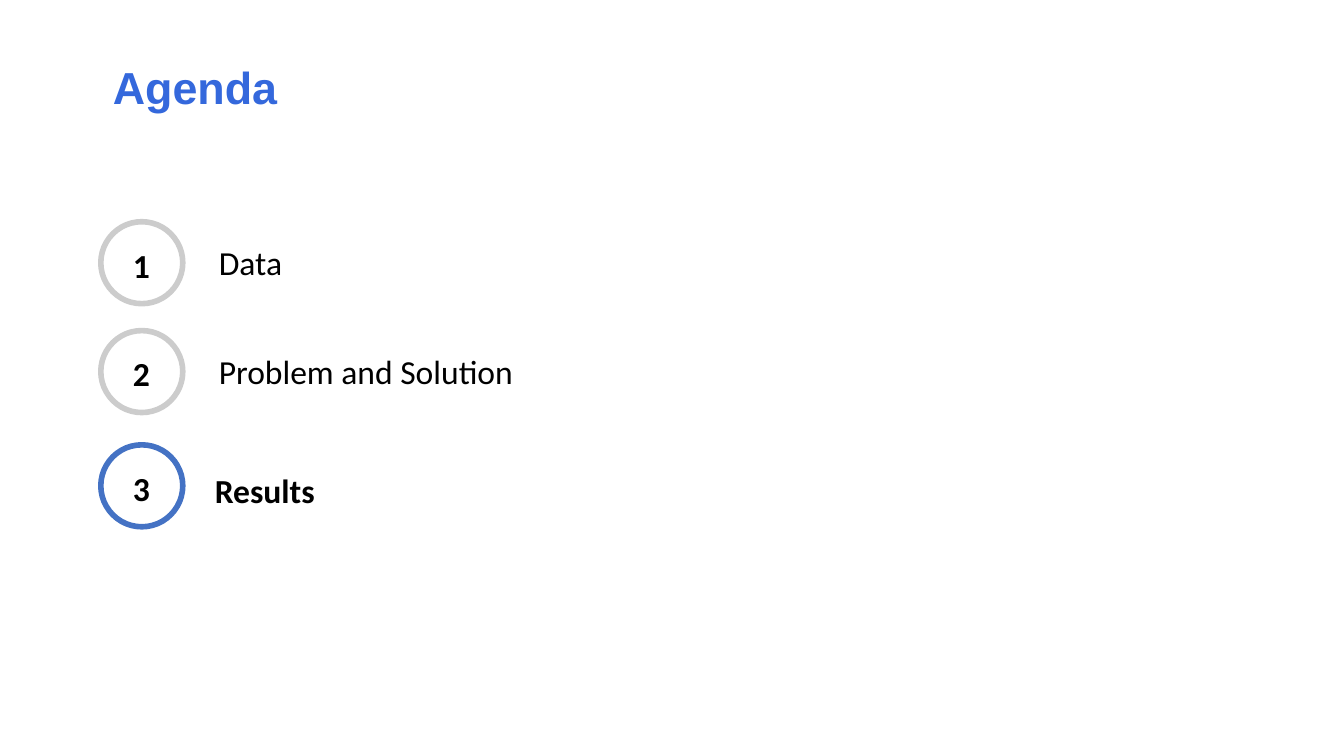
from pptx import Presentation
from pptx.dml.color import RGBColor
from pptx.enum.shapes import MSO_SHAPE as Shape
from pptx.enum.text import MSO_ANCHOR as Anchor, MSO_AUTO_SIZE as AutoSize
from pptx.enum.text import PP_ALIGN as Align
from pptx.util import Inches, Pt

# A 16:9 slide
prs = Presentation()
prs.slide_width = Inches(10)
prs.slide_height = prs.slide_width * 9 // 16
s = prs.slides.add_slide(prs.slide_layouts[5])


def color(value):
    return RGBColor.from_string(value)


def write(sp, text, size=18, font="Calibri", fill="000000", bold=False,
          inset=(0.1, 0.05, 0.1, 0.05), anchor=Anchor.TOP, spacing=1.0,
          fit=AutoSize.SHAPE_TO_FIT_TEXT):
    tf = sp.text_frame
    tf.word_wrap, tf.auto_size, tf.vertical_anchor = True, fit, anchor
    tf.margin_left, tf.margin_top, tf.margin_right, tf.margin_bottom = map(Inches, inset)
    p = tf.paragraphs[0]
    p.alignment, p.line_spacing = Align.LEFT, spacing
    r = p.add_run()
    r.text = text
    r.font.size, r.font.name, r.font.bold = Pt(size), font, bold
    r.font.color.rgb = color(fill)


# Title
title = s.shapes.title
title.left, title.top, title.width, title.height = map(Inches, (0.81, 0.46, 6.79, 0.42))
write(title, "Agenda", size=24, font="Arial", fill="3468DC", bold=True,
      inset=(0.03,) * 4, anchor=Anchor.MIDDLE, spacing=0.9, fit=AutoSize.NONE)

# Agenda columns, row height and items: text, row top, label left, top and width
circle_left, circle_size = 0.75, 0.61
number_left, number_width, row_height = 0.89, 0.24, 0.4
items = [
    ("Data", 1.65, 1.53, 1.75, 5.75),
    ("Problem and Solution", 2.46, 1.53, 2.56, 6.47),
    ("Results", 3.31, 1.5, 3.45, 4.93),
]
current = len(items)

for number, (text, top, label_left, label_top, label_width) in enumerate(items, 1):
    active = number == current

    # Label
    label = s.shapes.add_textbox(*map(Inches, (label_left, label_top, label_width, row_height)))
    write(label, text, bold=active)

    # Numbered circle
    badge = s.shapes.add_group_shape()
    circle = badge.shapes.add_shape(
        Shape.OVAL, *map(Inches, (circle_left, top, circle_size, circle_size)))
    circle.shadow.inherit = False
    circle.fill.solid()
    circle.fill.fore_color.rgb = color("FFFFFF")
    circle.line.color.rgb = color("4472C4" if active else "CCCCCC")
    circle.line.width = Pt(3)
    digit = badge.shapes.add_textbox(
        *map(Inches, (number_left, top + 0.12, number_width, row_height)))
    write(digit, str(number), bold=True, inset=(0.1, 0.05, 0, 0.05))

prs.save("out.pptx")
